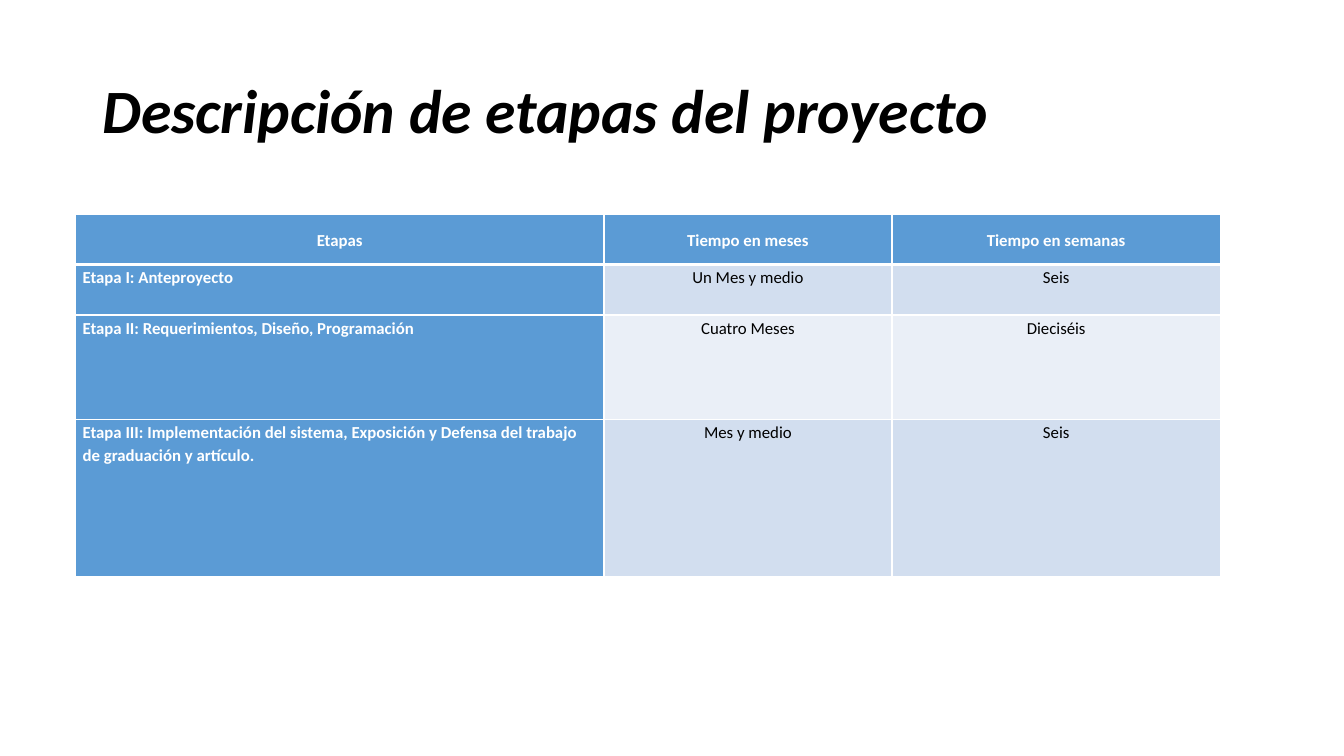
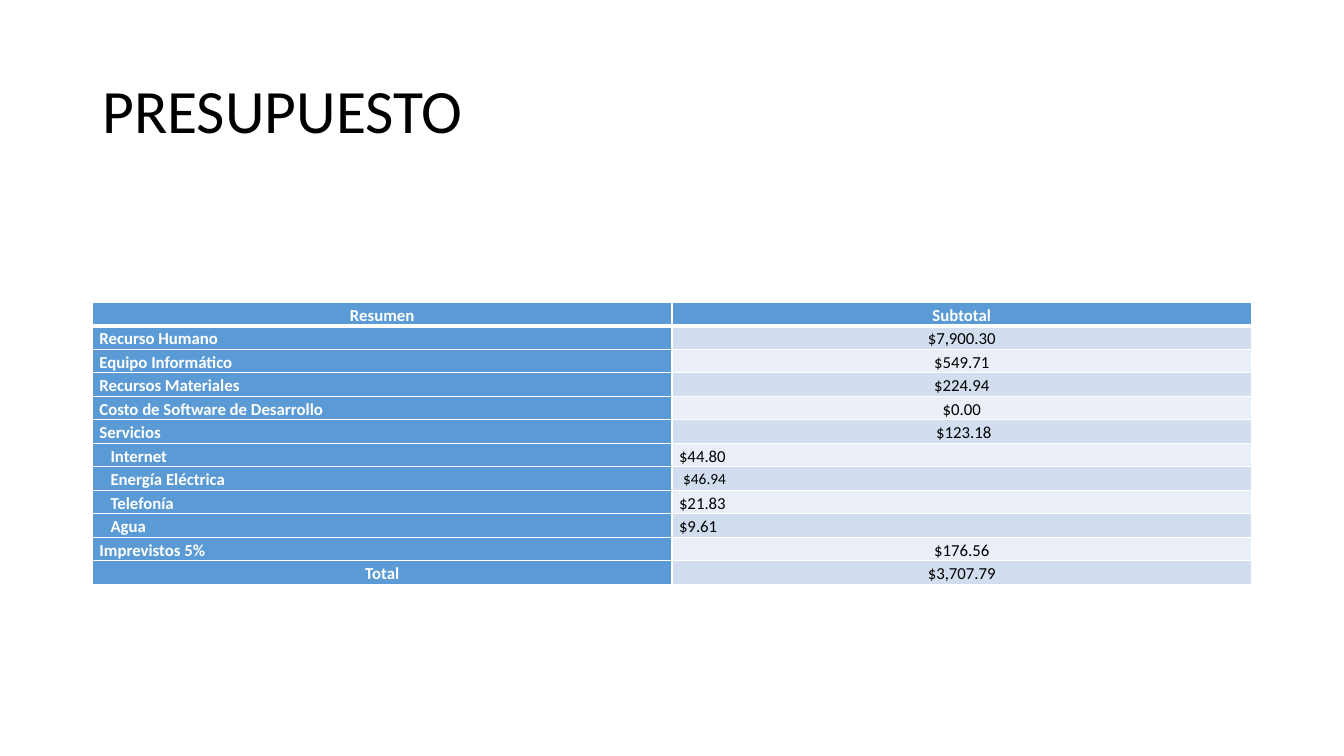
from lxml import etree
from pptx import Presentation
from pptx import util as u
from pptx.dml.color import RGBColor
from pptx.enum import text
from pptx.oxml.ns import qn

UNIT = u.Pt(6)
WIDE, HIGH = 160, 90
EDGE, SPAN = 11, 138
FONT = "Calibri"
WHITE, BLACK, BLUE = "FFFFFF", "000000", "5B9BD5"
BANDS = ("D2DEEF", "EAEFF7")
LEFT, MID = text.PP_ALIGN.LEFT, text.PP_ALIGN.CENTER
PAD = 0.07


def grid(n):
    return u.Emu(round(n * UNIT))


def tint(code):
    return RGBColor.from_string(code)


def write(par, words, size, color, bold=False, slant=False):
    run = par.add_run()
    run.text = words
    font = run.font
    font.name, font.size = FONT, u.Pt(size)
    font.bold, font.italic = bold, slant
    font.color.rgb = tint(color)


def title(slide, words, strong=False):
    box = slide.shapes.add_textbox(grid(EDGE), grid(4.8), grid(SPAN), grid(17.4))
    frame = box.text_frame
    frame.word_wrap = True
    frame.vertical_anchor = text.MSO_ANCHOR.MIDDLE
    par = frame.paragraphs[0]
    par.line_spacing = 0.9
    write(par, words, 44, BLACK, strong, strong)


def rule(cell, row):
    props = cell._tc.get_or_add_tcPr()
    sides = {"lnL": 1, "lnR": 1, "lnT": 3 if row == 1 else 1, "lnB": 3 if row == 0 else 1}
    for spot, (side, width) in enumerate(sides.items()):
        line = etree.Element(qn("a:" + side), w=str(u.Pt(width)))
        fill = etree.SubElement(line, qn("a:solidFill"))
        etree.SubElement(fill, qn("a:srgbClr"), val=WHITE)
        props.insert(spot, line)


def item(words, align=LEFT, inset=0, size=12):
    return words, align, inset, size


def fill(cell, entry, row, col):
    head = row == 0 or col == 0
    if isinstance(entry, str):
        entry = item(entry, LEFT if row and not col else MID)
    words, align, inset, size = entry
    cell.margin_left, cell.margin_right = u.Inches(PAD + inset), u.Inches(PAD)
    cell.margin_top = cell.margin_bottom = 0
    cell.vertical_anchor = text.MSO_ANCHOR.TOP if row else text.MSO_ANCHOR.MIDDLE
    cell.fill.solid()
    cell.fill.fore_color.rgb = tint(BLUE if head else BANDS[(row - 1) % 2])
    rule(cell, row)
    par = cell.text_frame.paragraphs[0]
    par.alignment, par.line_spacing = align, 1.15
    write(par, words, size, WHITE if head else BLACK, head)


def table(slide, left, top, cols, rows, data):
    frame = slide.shapes.add_table(len(rows), len(cols), grid(left), grid(top),
                                   grid(sum(cols)), grid(sum(rows)))
    tab = frame.table
    tab.first_row = tab.horz_banding = False
    for col, width in zip(tab.columns, cols):
        col.width = grid(width)
    for row, height in zip(tab.rows, rows):
        row.height = grid(height)
    for r, line in enumerate(data):
        for c, entry in enumerate(line):
            fill(tab.cell(r, c), entry, r, c)


def stages(slide):
    title(slide, "Descripción de etapas del proyecto", True)
    table(slide, 9, 25.5, (62.9, 34.3, 39.1), (6, 6, 12.4, 18.7), [
        ("Etapas", "Tiempo en meses", "Tiempo en semanas"),
        ("Etapa I: Anteproyecto", "Un Mes y medio", "Seis"),
        ("Etapa II: Requerimientos, Diseño, Programación", "Cuatro Meses", "Dieciséis"),
        ("Etapa III: Implementación del sistema, Exposición y Defensa del trabajo "
         "de graduación y artículo.", "Mes y medio", "Seis"),
    ])


def part(name, cost):
    return item(name, inset=0.11), cost


def budget(slide):
    title(slide, "PRESUPUESTO")
    data = [
        ("Resumen", "Subtotal"),
        ("Recurso Humano", "$7,900.30"),
        ("Equipo Informático", "$549.71"),
        ("Recursos Materiales", "$224.94"),
        ("Costo de Software de Desarrollo", "$0.00"),
        ("Servicios", item("$123.18", MID, 0.04)),
        part("Internet", item("$44.80")),
        part("Energía Eléctrica", item("$46.94", inset=0.04, size=11)),
        part("Telefonía", item("$21.83")),
        part("Agua", item("$9.61")),
        ("Imprevistos 5%", "$176.56"),
        (item("Total", MID), "$3,707.79"),
    ]
    table(slide, EDGE, 36, (SPAN / 2,) * 2, (2.8,) * len(data), data)


def main():
    deck = Presentation()
    deck.slide_width, deck.slide_height = grid(WIDE), grid(HIGH)
    for build in (stages, budget):
        build(deck.slides.add_slide(deck.slide_layouts[6]))
    deck.save("out.pptx")


if __name__ == "__main__":
    main()
